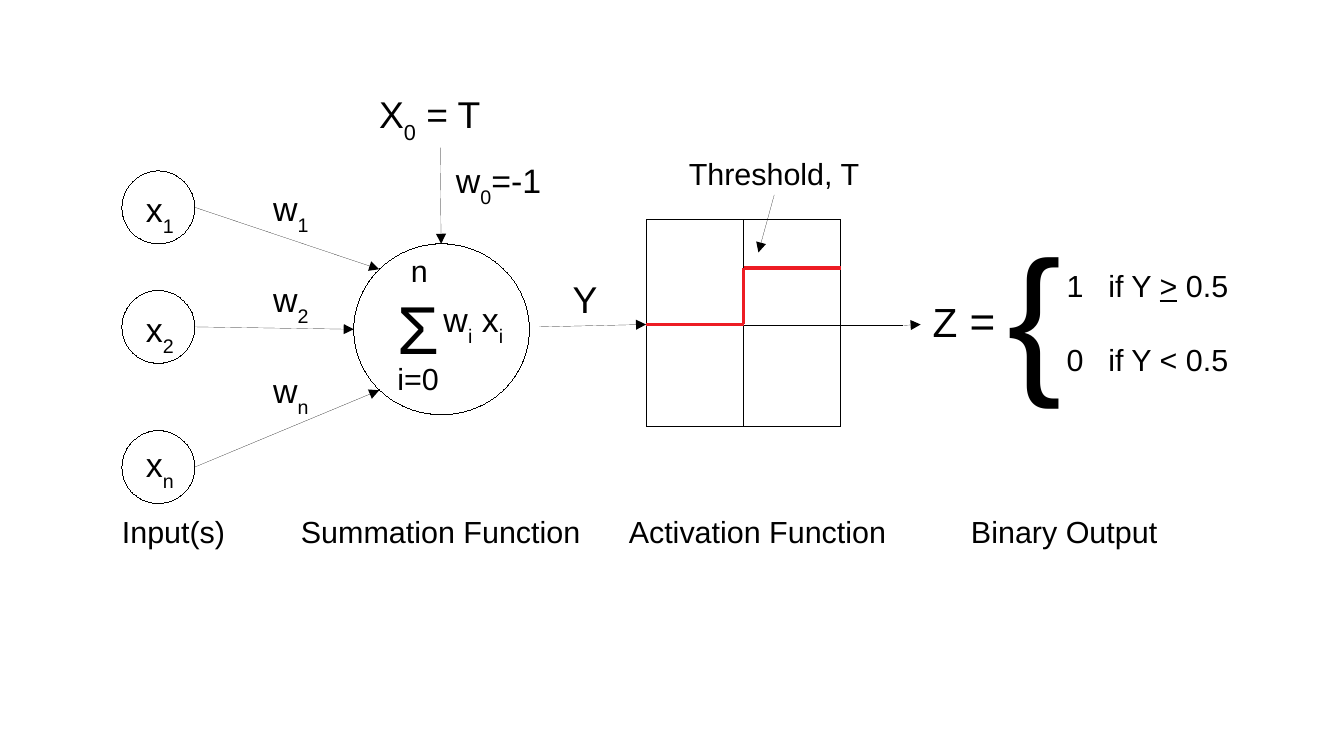
from dataclasses import dataclass
from itertools import pairwise

from lxml import etree
from pptx import Presentation
from pptx import util as u
from pptx.dml import color
from pptx.enum import shapes, text
from pptx.oxml import ns


@dataclass(frozen=True)
class Theme:
    font: str = "Arial"
    ink: color.RGBColor = color.RGBColor(0, 0, 0)
    step: color.RGBColor = color.RGBColor(0xED, 0x1C, 0x24)
    hairline: float = 0.01
    step_line: float = 2.3
    body: int = 18
    symbol: int = 20
    signal: int = 22
    result: int = 24
    equals: int = 26
    sigma: int = 40
    brace: int = 96


@dataclass(frozen=True)
class Box:
    left: float
    top: float
    width: float
    height: float

    def at(self, x, y):
        return u.Cm(self.left + x), u.Cm(self.top + y)


THEME = Theme()


def add_span(para, words, size, subscript=False, underline=False):
    span = para.add_run()
    span.text = words
    span.font.name = THEME.font
    span.font.size = u.Pt(size)
    span.font.color.rgb = THEME.ink
    if underline:
        span.font.underline = True
    if subscript:
        span._r.get_or_add_rPr().set("baseline", "-33000")


def add_frame(page, box, x, y, width, height=1.2):
    frame = page.shapes.add_textbox(*box.at(x, y), u.Cm(width), u.Cm(height)).text_frame
    frame.word_wrap = True
    frame.vertical_anchor = text.MSO_ANCHOR.TOP
    return frame


def add_label(page, box, x, y, width, size, *pieces):
    para = add_frame(page, box, x, y, width).paragraphs[0]
    for index, piece in enumerate(pieces):
        add_span(para, piece, size, subscript=index % 2 == 1)


def add_outline(page, kind, box, x, y, width, height):
    shape = page.shapes.add_shape(kind, *box.at(x, y), u.Cm(width), u.Cm(height))
    shape.shadow.inherit = False
    shape.fill.background()
    shape.line.color.rgb = THEME.ink
    shape.line.width = u.Pt(THEME.hairline)


def add_line(page, box, start, end, arrow=False, ink=THEME.ink, weight=THEME.hairline):
    line = page.shapes.add_connector(
        shapes.MSO_CONNECTOR.STRAIGHT, *box.at(*start), *box.at(*end))
    line.line.color.rgb = ink
    line.line.width = u.Pt(weight)
    properties = line._element.spPr
    if arrow:
        stroke = properties.find(ns.qn("a:ln"))
        etree.SubElement(stroke, ns.qn("a:tailEnd"), type="triangle")
    etree.SubElement(properties, ns.qn("a:effectLst"))


def draw_inputs(page, box):
    size = 1.52
    rows = [("1", 0, 0.25, (box.width, 2.05)),
            ("2", 2.49, 0.25, (4.83, 3.3)),
            ("n", 5.41, 0.15, (box.width, 4.57))]
    for index, (name, y, inset, target) in enumerate(rows):
        add_outline(page, shapes.MSO_SHAPE.OVAL, box, 0, y, size, size)
        add_label(page, box, 0.25, y + inset, size, THEME.symbol, "x", name)
        add_label(page, box, 2.9, 0.22 + 1.9 * index, 1.5, THEME.symbol, "w", name)
        add_line(page, box, (size, y + size / 2), target, arrow=True)


def draw_summation(page, box):
    add_outline(page, shapes.MSO_SHAPE.OVAL, box, 0, 3.3, 3.66, 3.56)
    add_label(page, box, 0.28, 0, 3.07, THEME.signal, "X", "0", " = T")
    add_line(page, box, (1.8, 1.29), (1.82, 3.3), arrow=True)
    add_label(page, box, 1.88, 1.42, 2.44, THEME.symbol, "w", "0", "=-1")
    add_label(page, box, 0.94, 3.35, 1.3, THEME.body, "n")
    add_label(page, box, 0.66, 4.06, 2.54, THEME.sigma, "Σ")
    add_label(page, box, 0.66, 5.59, 1.6, THEME.body, "i=0")
    add_label(page, box, 1.62, 4.32, 2.24, THEME.symbol, "w", "i", " x", "i")


def draw_activation(page, box):
    left, top, width, height = 2.23, 1.47, 4.06, 4.32
    middle, right, axis, high = left + width / 2, left + width, 3.68, 2.49
    add_label(page, box, 0.45, 2.54, 1.52, THEME.signal, "Y")
    add_line(page, box, (0, 3.71), (left, 3.66), arrow=True)
    add_outline(page, shapes.MSO_SHAPE.RECTANGLE, box, left, top, width, height)
    add_line(page, box, (left, axis), (7.57, axis))
    add_line(page, box, (7.57, axis), (box.width, 3.66), arrow=True)
    add_line(page, box, (middle, top), (middle, top + height))
    corners = [(left, 3.66), (middle, 3.66), (middle, high), (right, high)]
    for start, end in pairwise(corners):
        add_line(page, box, start, end, ink=THEME.step, weight=THEME.step_line)
    add_label(page, box, 2.87, 0, 4.5, THEME.body, "Threshold, T")
    add_line(page, box, (4.9, 0.96), (4.57, 2.16), arrow=True)


def draw_output(page, box):
    result = add_frame(page, box, 0, 1.67, 1.98).paragraphs[0]
    add_span(result, "Z", THEME.result)
    add_span(result, " =", THEME.equals)
    add_label(page, box, 1.57, 0, 1.7, THEME.brace, "{")
    frame = add_frame(page, box, 2.79, 1.12, 4.4, 2.4)
    above, below = frame.paragraphs[0], frame.add_paragraph()
    below.space_before = u.Pt(22)
    for para in (above, below):
        stops = etree.SubElement(para._p.get_or_add_pPr(), ns.qn("a:tabLst"))
        etree.SubElement(stops, ns.qn("a:tab"), pos=str(int(u.Cm(0.87))), algn="l")
    add_span(above, "1\tif Y ", THEME.body)
    add_span(above, ">", THEME.body, underline=True)
    add_span(above, " 0.5", THEME.body)
    add_span(below, "0\tif Y < 0.5", THEME.body)


def draw_captions(page, box):
    captions = [("Input(s)", 0, 3), ("Summation Function", 3.73, 6.6),
                ("Activation Function", 10.56, 6.2), ("Binary Output", 17.69, 4.8)]
    for caption, x, width in captions:
        add_label(page, box, x, 0, width, THEME.body, caption)


def main():
    deck = Presentation()
    deck.slide_width, deck.slide_height = u.Cm(28), u.Cm(15.75)
    page = deck.slides.add_slide(deck.slide_layouts[6])
    draw_inputs(page, Box(2.54, 3.56, 5.36, 6.93))
    draw_summation(page, Box(7.37, 1.78, 3.86, 6.86))
    draw_activation(page, Box(11.23, 3.1, 7.95, 5.79))
    draw_output(page, Box(19.18, 4.32, 7.19, 4.06))
    draw_captions(page, Box(2.29, 10.57, 22.49, 1.2))
    deck.save("out.pptx")


if __name__ == "__main__":
    main()
